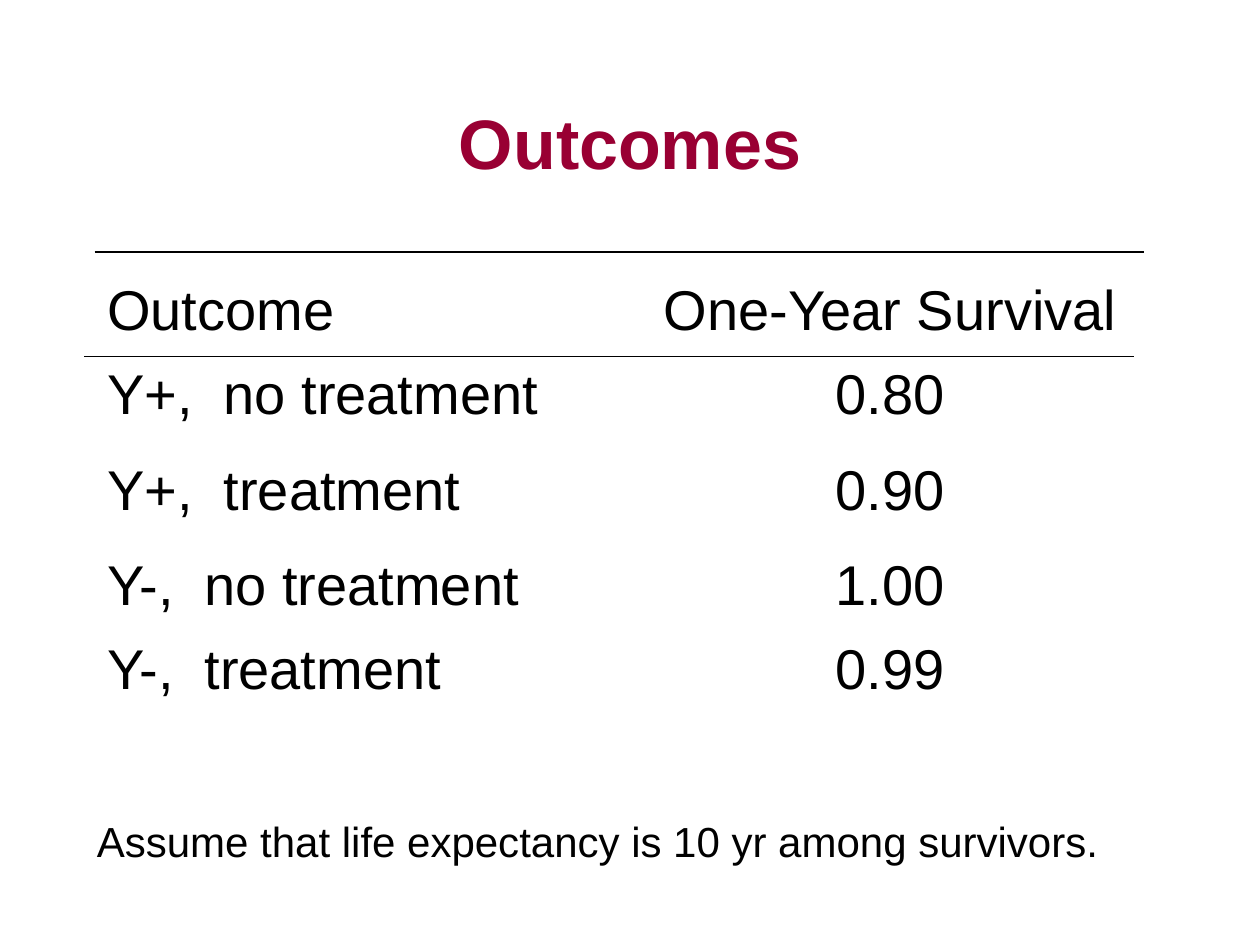
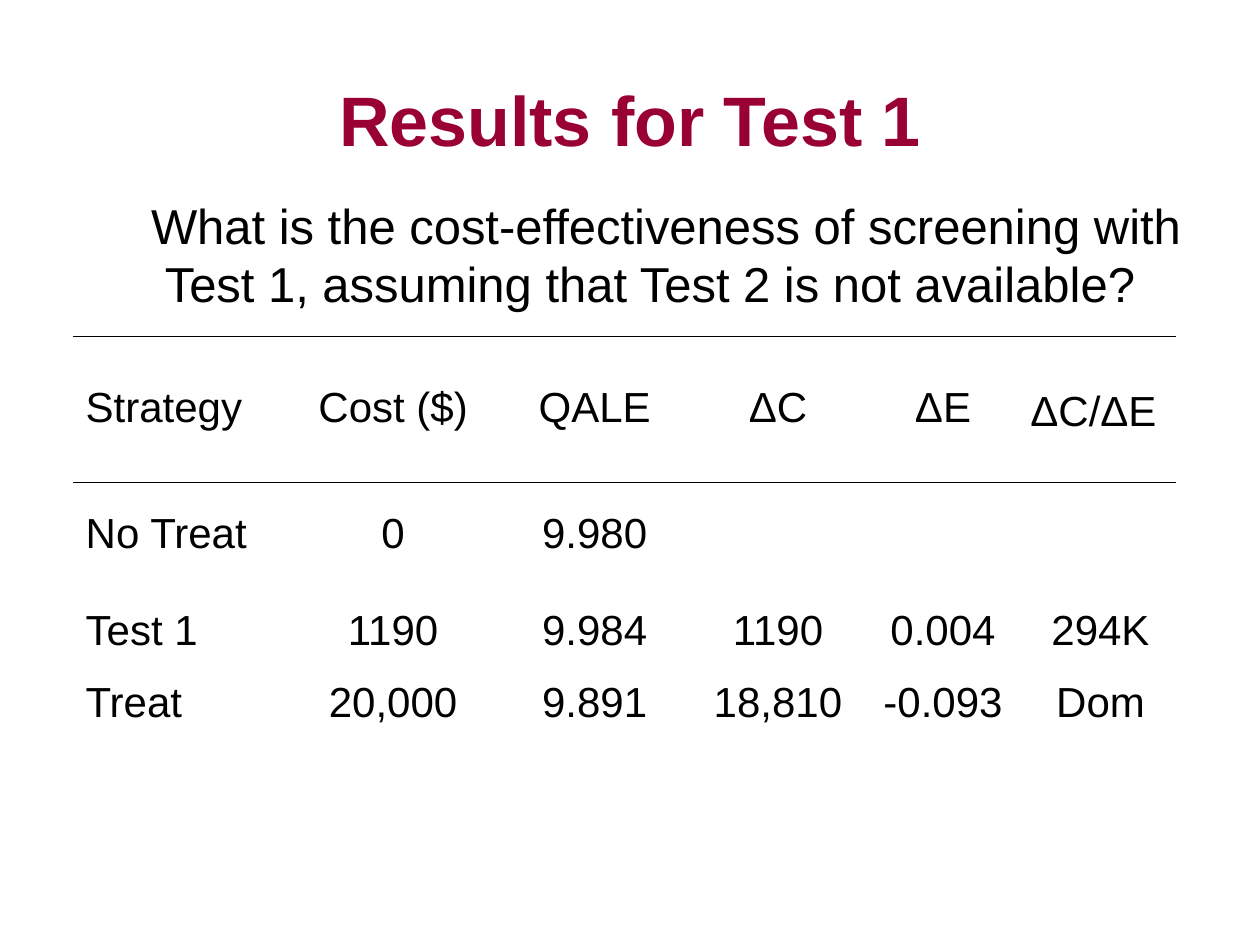
from lxml import etree
from pptx import Presentation
from pptx.dml.color import RGBColor
from pptx.enum.shapes import MSO_CONNECTOR
from pptx.enum.text import MSO_ANCHOR, MSO_AUTO_SIZE, PP_ALIGN
from pptx.oxml.ns import qn
from pptx.util import Inches, Pt

WIDE, HIGH = 10, 7.5
BLACK = RGBColor(0x00, 0x00, 0x00)
WINE = RGBColor(0x99, 0x00, 0x33)
LEFT, CENTER = PP_ALIGN.LEFT, PP_ALIGN.CENTER
TOP, MIDDLE = MSO_ANCHOR.TOP, MSO_ANCHOR.MIDDLE
STRAIGHT = MSO_CONNECTOR.STRAIGHT
FIT = MSO_AUTO_SIZE.SHAPE_TO_FIT_TEXT
TITLE = {"size": 40, "bold": True, "color": WINE}

# Boxes are left, top, width, height; rules are left, top, width: all inches.
# Each text line is a pair: wording and left indent.
SLIDES = [
    {
        "title": ("Outcomes", (0.75, 0.5, 8.5, 1.25)),
        "grid": {
            "at": (0.75, 2.17), "size": 32,
            "cols": [4.21, 4.21],
            "rows": [0.67, 0.76, 0.75, 0.67, 0.83],
            "cells": [
                ("Outcome", "One-Year Survival"),
                ("Y+,  no treatment", "0.80"),
                ("Y+,  treatment", "0.90"),
                ("Y-,  no treatment", "1.00"),
                ("Y-,  treatment", "0.99"),
            ],
        },
        "rules": [(0.75, 2, 8.33), (0.67, 2.83, 8.33)],
        "weight": 0.75,
        "notes": [
            ([("Assume that life expectancy is 10 yr among survivors.", 0)],
             (0.67, 6.42, 8.15, 0.5), 24),
        ],
    },
    {
        "title": ("Results for Test 1", (0.5, 0.5, 9, 0.88)),
        "grid": {
            "at": (0.58, 3), "size": 24,
            "cols": [1.73, 1.62, 1.58, 1.33, 1.29, 1.21],
            "rows": [1, 0.77, 0.57, 0.57, 0.64],
            "cells": [
                ("Strategy", "Cost ($)", "QALE", "ΔC", "ΔE"),
                ("No Treat", "0", "9.980"),
                ("Test 1", "1190", "9.984", "1190", "0.004", "294K"),
                ("Treat", "20,000", "9.891", "18,810", "-0.093", "Dom"),
            ],
        },
        "rules": [(0.58, 2.67, 8.75), (0.58, 3.83, 8.75)],
        "weight": 1,
        "notes": [
            ([("What is the cost-effectiveness of screening with", 0),
              ("Test 1, assuming that Test 2 is not available?", 0.11)],
             (1.1, 1.5, 8.38, 1.04), 28),
            ([("ΔC/ΔE", 0)], (8.08, 3, 1.5, 0.5), 24),
        ],
    },
]


def style(para, size, bold=False, color=BLACK, align=LEFT):
    para.alignment = align
    font = para.font
    for key, val in {"name": "Arial", "size": Pt(size), "bold": bold}.items():
        setattr(font, key, val)
    font.color.rgb = color


def add_text(slide, lines, box, align=LEFT, anchor=TOP, fit=True, **look):
    frame = slide.shapes.add_textbox(*map(Inches, box)).text_frame
    frame.word_wrap = not fit
    frame.vertical_anchor = anchor
    if fit:
        frame.auto_size = FIT
    frame.text = "\n".join(text for text, _ in lines)
    for para, (_, dent) in zip(frame.paragraphs, lines):
        if dent:
            para._p.get_or_add_pPr().set("marL", str(Inches(dent)))
        style(para, align=align, **look)


def add_grid(slide, at, size, cols, rows, cells):
    box = (*at, sum(cols), sum(rows))
    table = slide.shapes.add_table(
        len(rows), len(cols), *map(Inches, box)).table
    table.first_row = table.horz_banding = False
    for col, wide in zip(table.columns, cols):
        col.width = Inches(wide)
    for row, high in zip(table.rows, rows):
        row.height = Inches(high)
    for cell in table.iter_cells():
        cell.fill.background()
    for r, line in enumerate(cells):
        for c, text in enumerate(line):
            cell = table.cell(r, c)
            cell.text = text
            style(cell.text_frame.paragraphs[0], size,
                  align=CENTER if c else LEFT)


def add_rule(slide, left, top, wide, weight):
    ends = (left, top, left + wide, top)
    rule = slide.shapes.add_connector(STRAIGHT, *map(Inches, ends))
    rule.line.color.rgb = BLACK
    rule.line.width = Pt(weight)
    etree.SubElement(rule._element.spPr, qn("a:effectLst"))


def main():
    deck = Presentation()
    deck.slide_width, deck.slide_height = Inches(WIDE), Inches(HIGH)
    for page in SLIDES:
        slide = deck.slides.add_slide(deck.slide_layouts[6])
        text, box = page["title"]
        add_text(slide, [(text, 0)], box, CENTER, MIDDLE, False, **TITLE)
        add_grid(slide, **page["grid"])
        for rule in page["rules"]:
            add_rule(slide, *rule, page["weight"])
        for lines, box, size in page["notes"]:
            add_text(slide, lines, box, size=size)
    deck.save("out.pptx")


if __name__ == "__main__":
    main()
